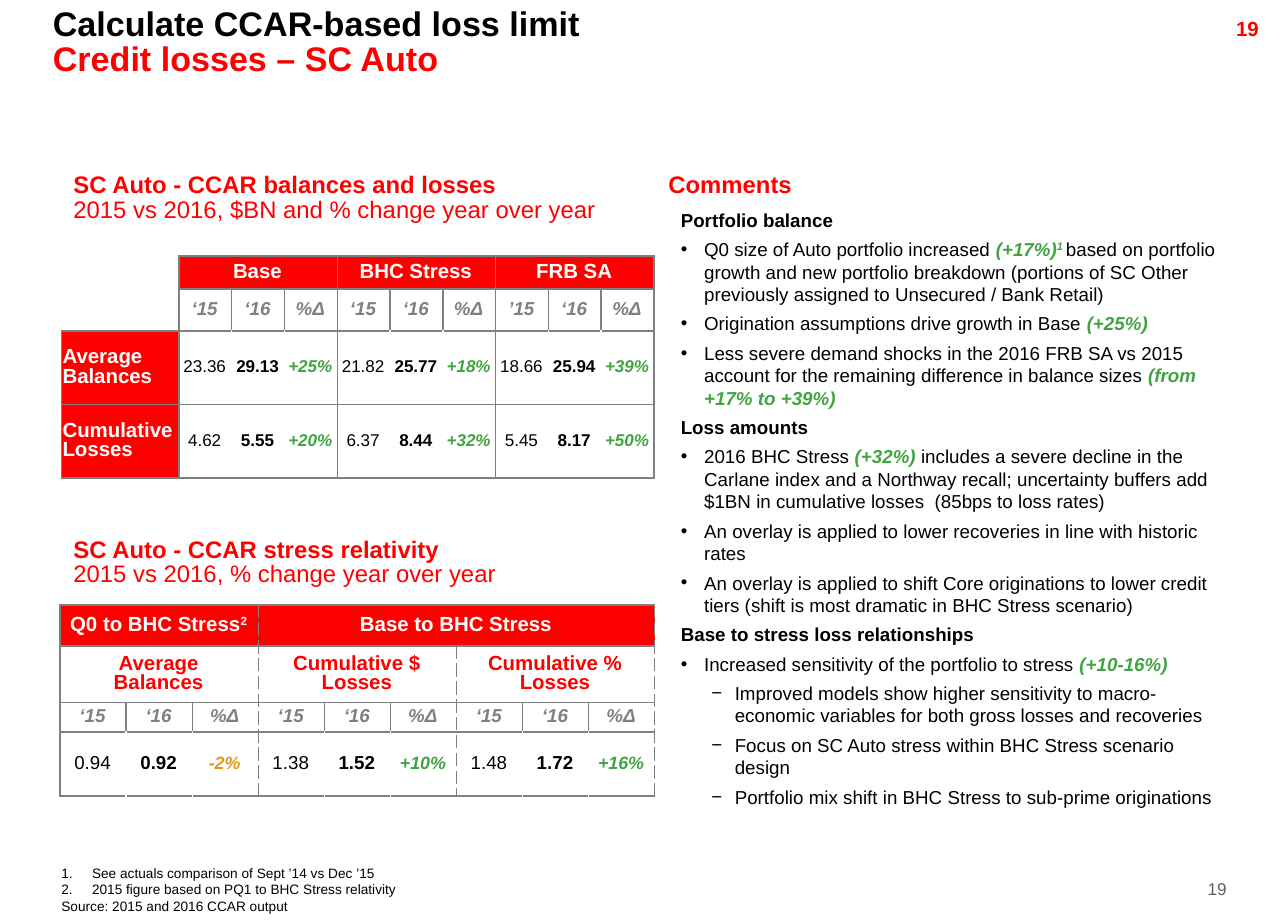
import pptx
import pptx.util
import pptx.dml.color
import pptx.enum.text
import pptx.oxml.ns
from lxml import etree

Pt = pptx.util.Pt
ALIGN = pptx.enum.text.PP_ALIGN
ANCHOR = pptx.enum.text.MSO_ANCHOR
RED, GREEN, ORANGE = "FF0000", "41A441", "E29815"
GRAY, BLACK, WHITE = "808080", "000000", "FFFFFF"
LINE = 0.86
YEARS = ["‘15", "‘16", "%Δ"]

PLAIN = {"color": BLACK}
BOLD = {"color": BLACK, "bold": True}
GAIN = {"color": GREEN, "bold": True, "italic": True}
YEAR = {"color": GRAY, "bold": True, "italic": True, "size": 11}
HEAD = {"color": WHITE, "bold": True, "size": 12}
TITLE = {"color": RED, "bold": True, "size": 14}
SUBTITLE = {"color": RED, "size": 14}
NOTE = {"color": BLACK, "size": 8}

# Each comment: kind of paragraph, then its runs
COMMENTS = [
    ("head", [("Portfolio balance", BOLD)]),
    ("item", [("Q0 size of Auto portfolio increased ", PLAIN), ("(+17%)", GAIN),
              ("1 ", {**GAIN, "raised": True}),
              ("based on portfolio growth and new portfolio breakdown (portions of SC Other "
               "previously assigned to Unsecured / Bank Retail)", PLAIN)]),
    ("item", [("Origination assumptions drive growth in Base ", PLAIN), ("(+25%)", GAIN)]),
    ("item", [("Less severe demand shocks in the 2016 FRB SA vs 2015 account for the "
               "remaining difference in balance sizes ", PLAIN), ("(from +17% to +39%)", GAIN)]),
    ("head", [("Loss amounts", BOLD)]),
    ("item", [("2016 BHC Stress ", PLAIN), ("(+32%) ", GAIN),
              ("includes a severe decline in the Carlane index and a Northway recall; uncertainty "
               "buffers add $1BN in cumulative losses  (85bps to loss rates)", PLAIN)]),
    ("item", [("An overlay is applied to lower recoveries in line with historic rates", PLAIN)]),
    ("item", [("An overlay is applied to shift Core originations to lower credit tiers "
               "(shift is most dramatic in BHC Stress scenario)", PLAIN)]),
    ("head", [("Base to stress loss relationships", BOLD)]),
    ("item", [("Increased sensitivity of the portfolio to stress ", PLAIN), ("(+10-16%)", GAIN)]),
    ("dash", [("Improved models show higher sensitivity to macro-economic variables for both "
               "gross losses and recoveries", PLAIN)]),
    ("dash", [("Focus on SC Auto stress within BHC Stress scenario design", PLAIN)]),
    ("dash", [("Portfolio mix shift in BHC Stress to sub-prime originations", PLAIN)]),
]
# Bullet tag, its attributes, left margin, hanging indent, level
BULLETS = {
    "head": ("a:buNone", {}, 0, 0, 0),
    "item": ("a:buChar", {"char": "•"}, 13.7, -13.7, 0),
    "dash": ("a:buChar", {"char": "−"}, 31.7, -13.7, 1),
    "number": ("a:buAutoNum", {"type": "arabicPeriod"}, 18, -18, 0),
}


def rgb(color):
    return pptx.dml.color.RGBColor.from_string(color)


def sub(parent, tag, **attrs):
    return etree.SubElement(parent, pptx.oxml.ns.qn(tag), attrs)


def add_bullet(p, kind):
    tag, attrs, margin, indent, level = BULLETS[kind]
    p.level = level
    pPr = p._p.get_or_add_pPr()
    pPr.set("marL", str(int(Pt(margin))))
    pPr.set("indent", str(int(Pt(indent))))
    sub(pPr, tag, **attrs)


def fill_text(tf, paragraphs, size=11, bullets=None, **fmt):
    """Write paragraphs, each a list of (text, style) runs."""
    gap = fmt.pop("gap", 0)
    for i, runs in enumerate(paragraphs):
        p = tf.paragraphs[0] if i == 0 else tf.add_paragraph()
        p.space_before = Pt(gap if i else 0)
        for name, value in fmt.items():
            setattr(p, name, value)
        if bullets:
            add_bullet(p, bullets[i])
        for text, style in runs:
            r = p.add_run()
            r.text = text
            font = {"name": "Arial", "size": Pt(style.get("size", size)),
                    "bold": style.get("bold", False), "italic": style.get("italic", False)}
            for name, value in font.items():
                setattr(r.font, name, value)
            r.font.color.rgb = rgb(style["color"])
            if style.get("raised"):
                r._r.get_or_add_rPr().set("baseline", "30000")


def set_frame(tf, anchor=ANCHOR.TOP, wrap=True, inset=None):
    tf.word_wrap = wrap
    tf.auto_size = pptx.enum.text.MSO_AUTO_SIZE.NONE
    tf.vertical_anchor = anchor
    if inset is not None:
        for side in ("left", "top", "right", "bottom"):
            setattr(tf, "margin_" + side, Pt(inset))


def add_text(s, box, paragraphs, frame=None, **fmt):
    sp = s.shapes.add_textbox(*map(Pt, box))
    set_frame(sp.text_frame, **(frame or {}))
    fill_text(sp.text_frame, paragraphs, **fmt)


def fill_placeholder(sp, box, paragraphs, **fmt):
    for name, value in zip(("left", "top", "width", "height"), box):
        setattr(sp, name, Pt(value))
    set_frame(sp.text_frame)
    fill_text(sp.text_frame, paragraphs, alignment=ALIGN.LEFT, **fmt)


def add_border(cell, side, color, dashed):
    ln = sub(cell._tc.get_or_add_tcPr(), "a:ln" + side, w=str(int(Pt(1))))
    sub(sub(ln, "a:solidFill"), "a:srgbClr", val=color)
    sub(ln, "a:prstDash", val="sysDash" if dashed else "solid")


def format_cell(cell, paragraphs, fill, borders, pad, align=ALIGN.CENTER):
    margins = {"left": 0.72, "right": 1.44, "top": pad, "bottom": pad}
    for side, value in margins.items():
        setattr(cell, "margin_" + side, Pt(value))
    cell.vertical_anchor = ANCHOR.MIDDLE
    for side, color, dashed in borders:
        add_border(cell, side, color, dashed)
    cell.fill.solid()
    cell.fill.fore_color.rgb = rgb(fill)
    fill_text(cell.text_frame, paragraphs, alignment=align, line_spacing=LINE)


def value_style(text, position, size, delta_size):
    if position == 2:
        return {**GAIN, "color": ORANGE if text.startswith("-") else GREEN, "size": delta_size}
    return {"color": BLACK, "bold": position == 1, "size": size}


def add_grid(s, left, top, widths, heights, headers, years, values, first, sizes, dashed):
    """Header rows are {column: (span, paragraphs, fill)}; first is the first value column."""
    rows, cols = len(heights), len(widths)
    table = s.shapes.add_table(rows, cols, Pt(left), Pt(top), Pt(sum(widths)),
                               Pt(sum(heights))).table
    table.first_row = table.horz_banding = False
    for part, lengths, name in ((table.columns, widths, "width"), (table.rows, heights, "height")):
        for item, length in zip(part, lengths):
            setattr(item, name, Pt(length))
    year_row = len(headers)

    def borders(row, col, span=1, sides="LRTB"):
        for side in sides:
            x = col + span if side == "R" else col
            inner = side in "LR" and x > first and (x - first) % 3
            group = side in "LR" and x > first and not inner
            yield side, WHITE if inner and row > year_row else GRAY, dashed and group

    # Header rows
    for row, header in enumerate(headers):
        for col, (span, paragraphs, fill) in header.items():
            cell = table.cell(row, col)
            cell.merge(table.cell(row, col + span - 1))
            format_cell(cell, paragraphs, fill, borders(row, col, span), 2.16)
    if first:
        corner = table.cell(0, 0)
        corner.merge(table.cell(year_row, 0))
        format_cell(corner, [[("", HEAD)]], WHITE, borders(0, 0, sides="RB"), 2.16)
    # Year row
    for col, text in enumerate(years, first):
        format_cell(table.cell(year_row, col), [[(text, YEAR)]], WHITE,
                    borders(year_row, col), 2.16)
    # Labels and values
    for row, line in enumerate(values, year_row + 1):
        for col, text in enumerate(line):
            label = col < first
            style = HEAD if label else value_style(text, (col - first) % 3, *sizes)
            format_cell(table.cell(row, col), [[(text, style)]], RED if label else WHITE,
                        borders(row, col), 0, ALIGN.LEFT if label else ALIGN.CENTER)


def main():
    prs = pptx.Presentation()
    prs.slide_width, prs.slide_height = Pt(756), Pt(540)
    s = prs.slides.add_slide(prs.slide_layouts[1])

    # Title and comments
    fill_placeholder(s.shapes.title, (23.8, 1.4, 640, 49),
                     [[("Calculate CCAR-based loss limit", BOLD)],
                      [("Credit losses – SC Auto", {**BOLD, "color": RED})]],
                     size=20, line_spacing=LINE)
    kinds, texts = zip(*COMMENTS)
    fill_placeholder(s.placeholders[1], (392.4, 118.8, 334, 362), texts, bullets=kinds, gap=4)

    # Section headings
    headings = [
        ((36, 98.6, 350, 37), "SC Auto - CCAR balances and losses",
         "2015 vs 2016, $BN and % change year over year"),
        ((36, 312.5, 350, 37), "SC Auto - CCAR stress relativity",
         "2015 vs 2016, % change year over year"),
        ((385.2, 98.6, 322, 22), "Comments", None),
    ]
    for box, title, subtitle in headings:
        lines = [[(title, TITLE)]] + ([[(subtitle, SUBTITLE)]] if subtitle else [])
        add_text(s, box, lines, line_spacing=LINE)

    # Balances and losses table
    scenarios = ["Base", "BHC Stress", "FRB SA"]
    add_grid(s, 36, 150.3, [69] + [31] * 9, [19.4, 18.7, 43.2, 43.2],
             [{1 + 3 * i: (3, [[(name, HEAD)]], RED) for i, name in enumerate(scenarios)}],
             YEARS * 2 + ["’15"] + YEARS[1:],
             [["Average Balances", "23.36", "29.13", "+25%", "21.82", "25.77", "+18%",
               "18.66", "25.94", "+39%"],
              ["Cumulative Losses", "4.62", "5.55", "+20%", "6.37", "8.44", "+32%",
               "5.45", "8.17", "+50%"]],
             first=1, sizes=(10, 10), dashed=False)

    # Stress relativity table
    measures = ["Average", "Cumulative $", "Cumulative %"]
    nouns = ["Balances", "Losses", "Losses"]
    red_head = {**HEAD, "color": RED}
    add_grid(s, 35.3, 355, [38.8] * 9, [24.2, 33, 17.6, 37.5],
             [{0: (3, [[("Q0 to BHC Stress", HEAD), ("2", {**HEAD, "raised": True})]], RED),
               3: (6, [[("Base to BHC Stress", HEAD)]], RED)},
              {3 * i: (3, [[(measure, red_head)], [(noun, red_head)]], WHITE)
               for i, (measure, noun) in enumerate(zip(measures, nouns))}],
             YEARS * 3,
             [["0.94", "0.92", "-2%", "1.38", "1.52", "+10%", "1.48", "1.72", "+16%"]],
             first=0, sizes=(11, 10.5), dashed=True)

    # Footnotes and page numbers
    add_text(s, (36, 507.6, 201, 29),
             [[("See actuals comparison of Sept ’14 vs Dec ’15", NOTE)],
              [("2015 figure based on PQ1 to BHC Stress relativity", NOTE)],
              [("Source: 2015 and 2016 CCAR output", NOTE)]],
             frame={"wrap": False, "inset": 0}, bullets=["number", "number", "head"])
    add_text(s, (674, 8, 72, 17), [[("19", {**HEAD, "color": RED})]],
             alignment=ALIGN.RIGHT, line_spacing=LINE)
    add_text(s, (700, 515.5, 20, 12.2), [[("19", {"color": "606060", "size": 10})]],
             frame={"anchor": ANCHOR.BOTTOM, "inset": 0}, alignment=ALIGN.RIGHT)

    prs.save("out.pptx")


if __name__ == "__main__":
    main()
